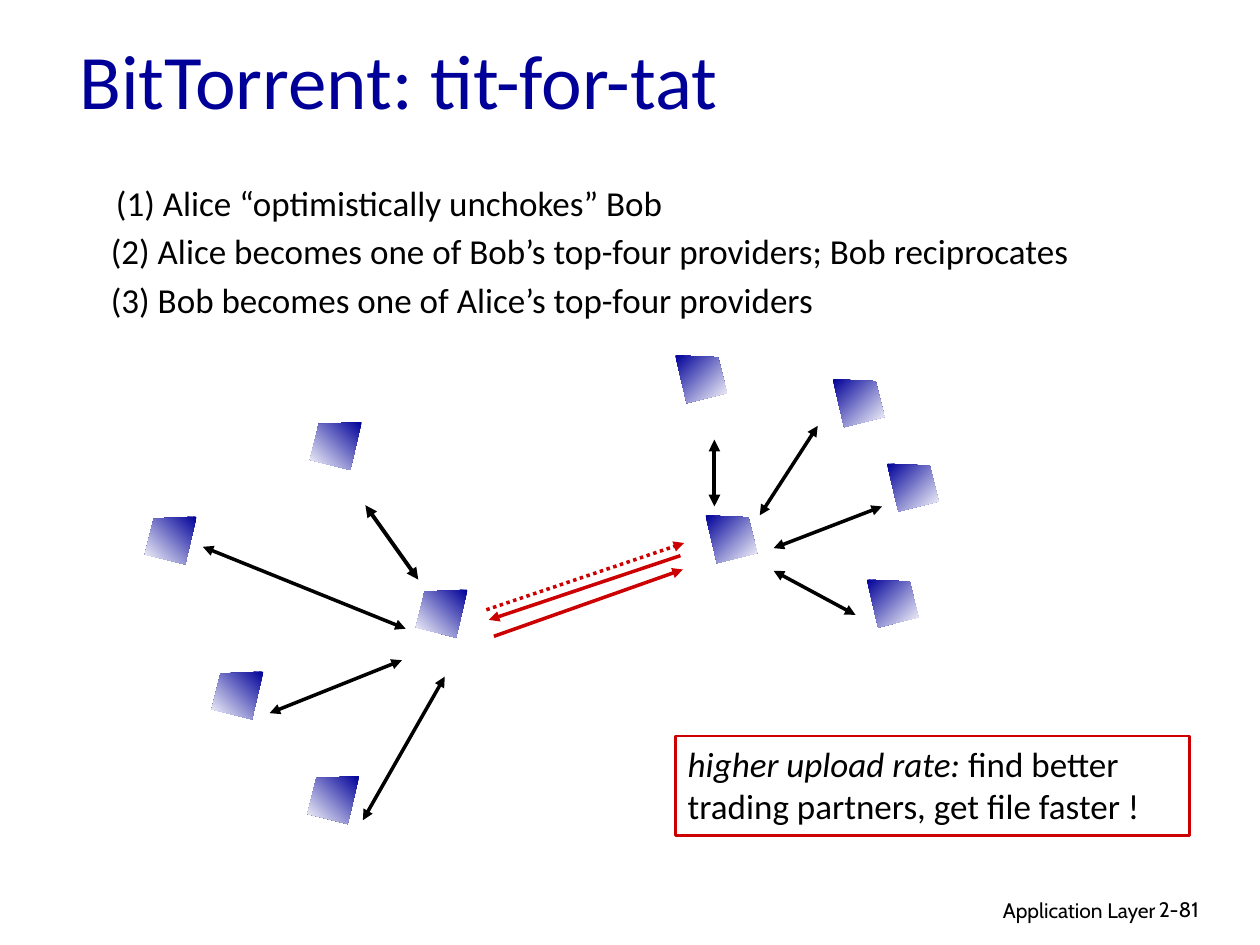
"""Build the tit-for-tat slide on a grid of 100 columns by 75 rows."""
from lxml.etree import SubElement
from pptx import Presentation
from pptx.dml.color import RGBColor
from pptx.enum.dml import MSO_LINE
from pptx.enum.shapes import MSO_CONNECTOR, MSO_SHAPE
from pptx.enum.text import MSO_ANCHOR, PP_ALIGN
from pptx.oxml.ns import qn
from pptx.util import Inches, Pt

HUES = {"ink": "000000", "blue": "000099", "red": "CC0000", "white": "FFFFFF"}
COLS, ROWS = 100, 75
TITLE = ("BitTorrent: tit-for-tat", (5.3, 0, 85, 12.5))
STEPS = [
    ("(1) Alice “optimistically unchokes” Bob", (9.2, 14.4, 44.5, 3.4)),
    ("(2) Alice becomes one of Bob’s top-four providers; Bob reciprocates",
     (8.8, 18.2, 77.7, 3.3)),
    ("(3) Bob becomes one of Alice’s top-four providers", (8.8, 22.1, 57, 3.3)),
]
NOTE = [("higher upload rate:", True),
        (" find better trading partners, get file faster !", False)]
NOTE_BOX = (53.6, 58.4, 40.8, 7.9)
FOOT = [
    ("Application Layer", (61, 70.7, 31.7, 3.1), PP_ALIGN.RIGHT),
    ("2-81", (91, 70.7, 7.4, 3), PP_ALIGN.LEFT),
]
LEFT_PEERS = [(16.8, 53.3), (24.4, 61.6), (11.5, 41), (33, 46.8), (24.6, 33.5)]
RIGHT_PEERS = [(68.8, 46), (70.4, 36.8), (66.1, 30.1), (56, 40.9), (53.6, 28.2)]
PEER_WIDTH = 4.1
OUTLINE = [(0, 0), (3.4, 0.15), (4.1, 3), (0.9, 3.8)]
LINKS = [
    ((32.2, 49.9), (16.1, 43.4), 2),
    ((31.9, 52.4), (21.4, 56.6), 2),
    ((35.3, 53.7), (28.8, 65.1), 2),
    ((60.3, 40.9), (64.9, 33.8), 2),
    ((61.4, 43.5), (70, 40.2), 2),
    ((61.4, 45.3), (67.9, 48.8), 2),
    ((56.7, 34.9), (56.7, 40.2), 2.25),
    ((29, 40.1), (33.2, 46), 2.25),
]
TRADES = [
    ((38.6, 48.4), (54.3, 43.1), True),
    ((54, 44.1), (38.8, 49.2), False),
    ((39.2, 50.5), (54.2, 45.2), False),
]

deck = Presentation()
deck.slide_width, deck.slide_height = Inches(10), Inches(7.5)
slide = deck.slides.add_slide(deck.slide_layouts[5])
shapes = slide.shapes


def hue(name):
    return RGBColor.from_string(HUES[name])


def spot(col, row):
    return (round(deck.slide_width * col / COLS),
            round(deck.slide_height * row / ROWS))


def area(box):
    return spot(*box[:2]) + spot(*box[2:])


def write(shape, text, size=20, font="Calibri", color="ink",
          align=PP_ALIGN.LEFT, anchor=MSO_ANCHOR.TOP, wrap=True, inset=None):
    frame = shape.text_frame
    frame.word_wrap, frame.vertical_anchor = wrap, anchor
    if inset is not None:
        frame.margin_left = frame.margin_right = inset
        frame.margin_top = frame.margin_bottom = inset
    para = frame.paragraphs[0]
    para.alignment = align
    for part, slant in [(text, False)] if isinstance(text, str) else text:
        run = para.add_run()
        run.text = part
        run.font.size, run.font.name = Pt(size), font
        run.font.italic = slant
        run.font.color.rgb = hue(color)


def arrow(start, end, color="ink", width=2, both=True, dots=False):
    link = shapes.add_connector(MSO_CONNECTOR.STRAIGHT, *spot(*start), *spot(*end))
    link.line.color.rgb, link.line.width = hue(color), Pt(width)
    if dots:
        link.line.dash_style = MSO_LINE.ROUND_DOT
    line = link.line._get_or_add_ln()
    for tag in ("a:headEnd", "a:tailEnd") if both else ("a:tailEnd",):
        SubElement(line, qn(tag), type="triangle")
    SubElement(link._element.spPr, qn("a:effectLst"))


def peer(col, row, flip):
    dots = [spot(col + (PEER_WIDTH - x if flip else x), row + y)
            for x, y in OUTLINE]
    path = shapes.build_freeform(*dots[0])
    path.add_line_segments(dots[1:], close=True)
    shape = path.convert_to_shape()
    shape.shadow.inherit = False
    shape.line.fill.background()
    shape.fill.gradient()
    shape.fill.gradient_angle = 225 if flip else 315
    for stop, name in zip(shape.fill.gradient_stops, ("blue", "white")):
        stop.color.rgb = hue(name)


head = shapes.title
head.left, head.top, head.width, head.height = area(TITLE[1])
write(head, TITLE[0], size=44, color="blue", anchor=MSO_ANCHOR.MIDDLE)

for text, box, align in FOOT:
    write(shapes.add_textbox(*area(box)), text, size=12, font="Cabin", align=align)
for text, box in STEPS:
    write(shapes.add_textbox(*area(box)), text, wrap=False, inset=0)

for start, end, width in LINKS:
    arrow(start, end, width=width)
for start, end, dots in TRADES:
    arrow(start, end, color="red", both=False, dots=dots)

note = shapes.add_shape(MSO_SHAPE.RECTANGLE, *area(NOTE_BOX))
note.shadow.inherit = False
note.fill.background()
note.line.color.rgb, note.line.width = hue("red"), Pt(1.5)
write(note, NOTE)

for flip, peers in ((True, LEFT_PEERS), (False, RIGHT_PEERS)):
    for col, row in peers:
        peer(col, row, flip)

deck.save("out.pptx")
